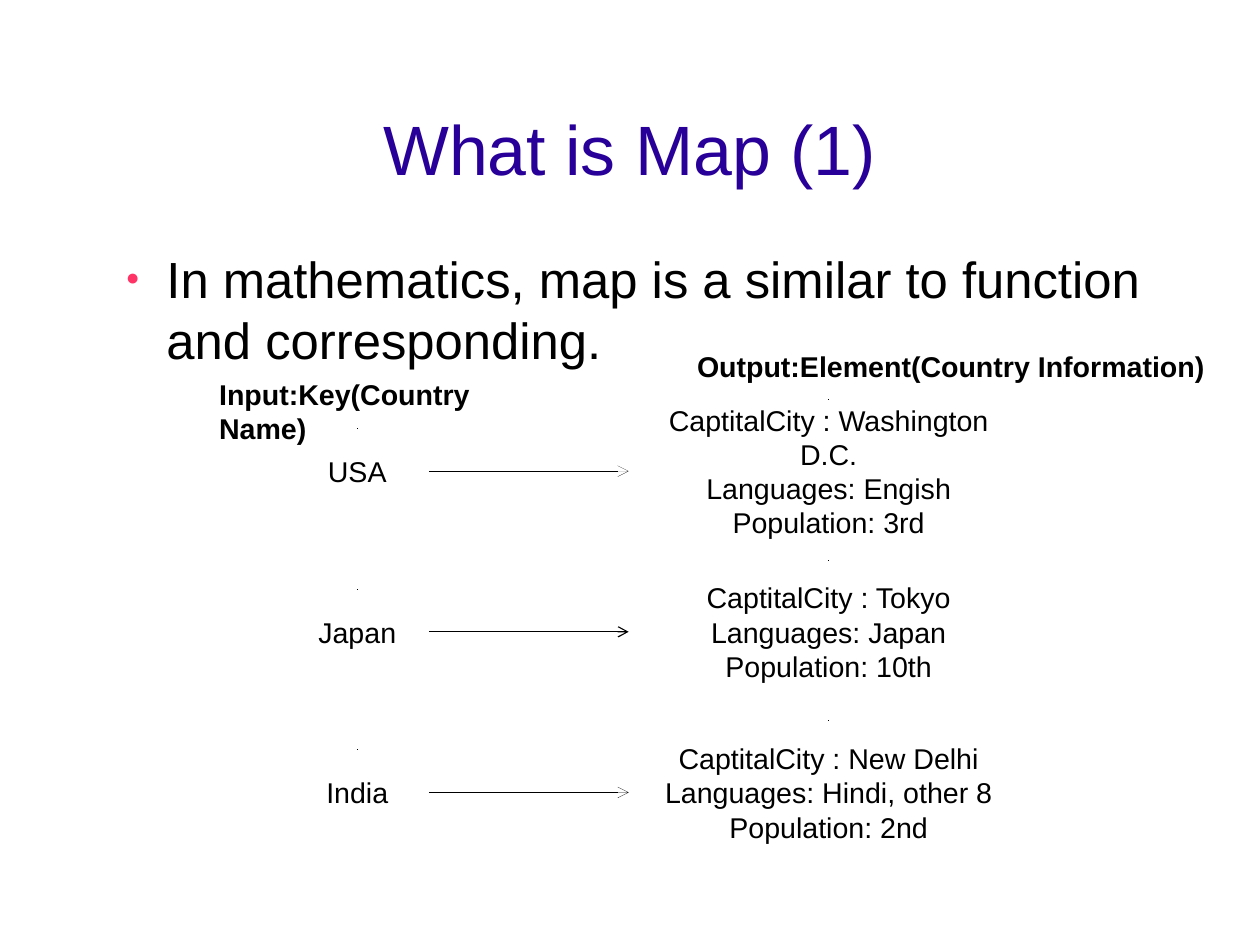
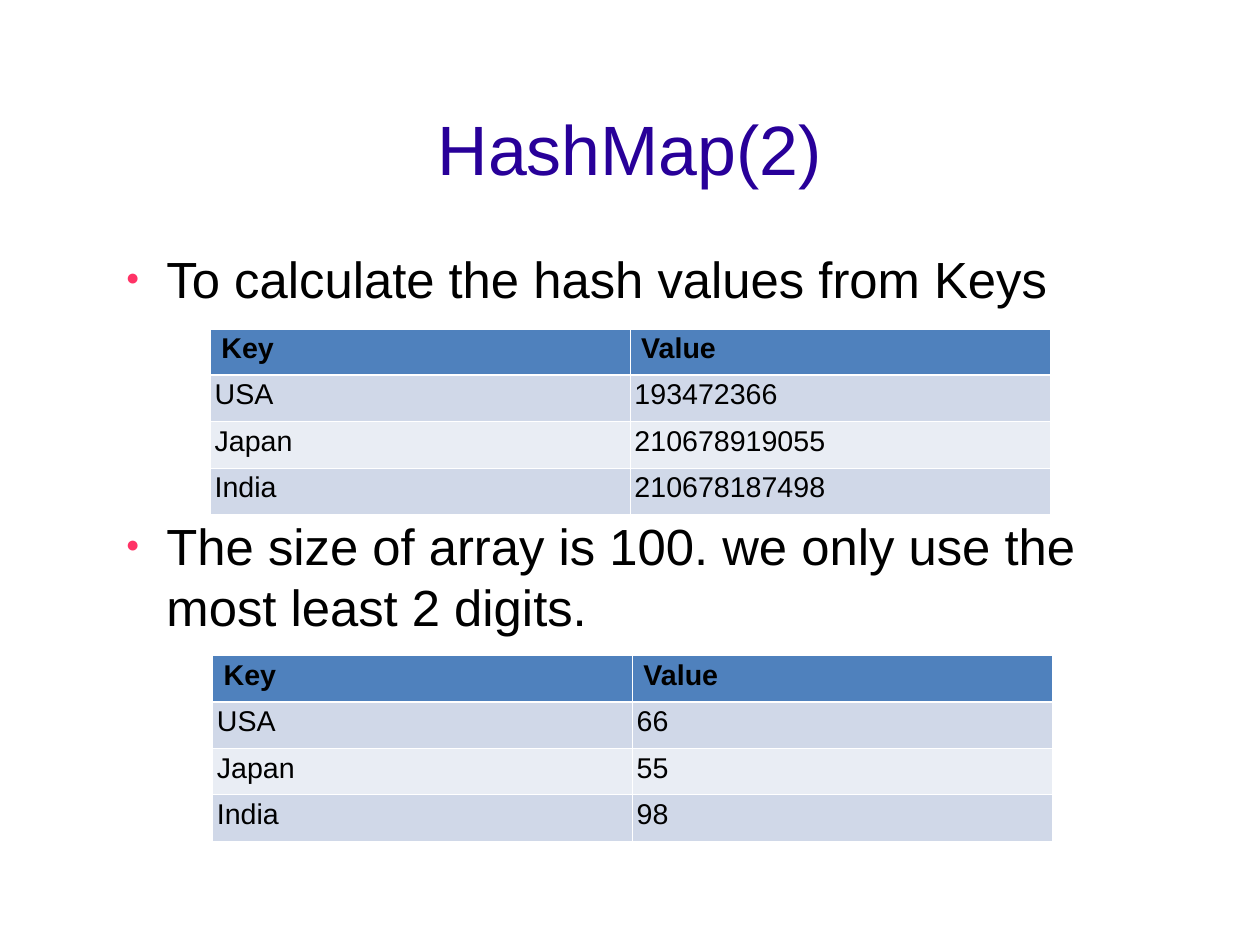
from dataclasses import dataclass

from lxml import etree
from pptx import Presentation
from pptx.dml.color import RGBColor
from pptx.enum.shapes import MSO_CONNECTOR
from pptx.enum.text import MSO_ANCHOR, PP_ALIGN
from pptx.oxml.ns import qn
from pptx.util import Cm, Pt

LEFT, CENTER = PP_ALIGN.LEFT, PP_ALIGN.CENTER
TOP, MIDDLE = MSO_ANCHOR.TOP, MSO_ANCHOR.MIDDLE
STRAIGHT = MSO_CONNECTOR.STRAIGHT


@dataclass(frozen=True)
class Theme:
    font: str = "Arial"
    title: str = "280099"
    ink: str = "000000"
    bullet: str = "FF3366"
    node: str = "99CCFF"
    header: str = "4F81BD"
    bands: tuple = ("D0D8E8", "E9EDF4")
    rule: str = "FFFFFF"
    title_size: float = 44
    body_size: float = 32
    small_size: float = 18
    hairline: float = 0.01
    thin_rule: float = 0.45
    thick_rule: float = 1.47


THEME = Theme()
PADDING = (0.25, 0.13)
NO_PADDING = (0, 0)


# Text helpers
def add_run(paragraph, text, size, color=THEME.ink, bold=False):
    run = paragraph.add_run()
    run.text = text
    run.font.name = THEME.font
    run.font.size = Pt(size)
    run.font.bold = bold
    run.font.color.rgb = RGBColor.from_string(color)


def set_frame(frame, padding, anchor):
    frame.word_wrap = True
    frame.vertical_anchor = anchor
    frame.margin_left = frame.margin_right = Cm(padding[0])
    frame.margin_top = frame.margin_bottom = Cm(padding[1])


def set_line(line, width):
    line.color.rgb = RGBColor.from_string(THEME.ink)
    line.width = Pt(width)


def add_text(slide, box, text, size, color=THEME.ink, bold=False,
             align=LEFT, padding=PADDING, anchor=TOP):
    frame = slide.shapes.add_textbox(*map(Cm, box)).text_frame
    set_frame(frame, padding, anchor)
    paragraph = frame.paragraphs[0]
    paragraph.alignment = align
    add_run(paragraph, text, size, color, bold)
    return paragraph


def add_title(slide, text):
    add_text(slide, (2, 1.65, 24, 3.25), text, THEME.title_size, THEME.title,
             align=CENTER, padding=NO_PADDING, anchor=MIDDLE)


def add_bullet(slide, box, text):
    paragraph = add_text(slide, box, text, THEME.body_size, padding=NO_PADDING)
    properties = paragraph._p.get_or_add_pPr()
    properties.set("marL", str(Cm(1.2)))
    properties.set("indent", str(-Cm(0.9)))
    color = etree.SubElement(properties, qn("a:buClr"))
    etree.SubElement(color, qn("a:srgbClr"), val=THEME.bullet)
    etree.SubElement(properties, qn("a:buSzPct"), val="45000")
    etree.SubElement(properties, qn("a:buFont"), typeface=THEME.font)
    etree.SubElement(properties, qn("a:buChar"), char="●")


# Map diagram
def add_node(slide, box, lines):
    """Text block whose outline is a single dot at its top centre."""
    left, top, width, height = map(Cm, box)
    dot = (left + width // 2, top)
    builder = slide.shapes.build_freeform(*dot)
    node = builder.add_line_segments([dot], close=True).convert_to_shape()
    node.left, node.top, node.width, node.height = left, top, width, height
    outline = next(node._element.iter(qn("a:path")))
    outline.set("w", str(width))
    outline.set("h", str(height))
    for point in outline.iter(qn("a:pt")):
        point.set("x", str(width // 2))
    node.shadow.inherit = False
    node.fill.solid()
    node.fill.fore_color.rgb = RGBColor.from_string(THEME.node)
    set_line(node.line, THEME.hairline)
    frame = node.text_frame
    set_frame(frame, PADDING, MIDDLE)
    for index, line in enumerate(lines):
        paragraph = frame.add_paragraph() if index else frame.paragraphs[0]
        paragraph.alignment = CENTER
        add_run(paragraph, line, THEME.small_size)


def add_arrow(slide, start, end, middle, width):
    arrow = slide.shapes.add_connector(
        STRAIGHT, Cm(start), Cm(middle), Cm(end), Cm(middle))
    set_line(arrow.line, width)
    etree.SubElement(arrow.line._get_or_add_ln(), qn("a:tailEnd"), type="arrow")
    etree.SubElement(arrow._element.spPr, qn("a:effectLst"))


def add_map_diagram(slide, left, top, entries):
    key_width, value_offset, value_width = 3.18, 7.62, 8.89
    key_height, value_height, pitch = 1.9, 3.18, 3.57
    value_left = left + value_offset
    for row, (country, facts, line_width) in enumerate(entries):
        middle = top + value_height / 2 + row * pitch
        add_node(slide, (left, middle - key_height / 2,
                         key_width, key_height), [country])
        add_node(slide, (value_left, middle - value_height / 2,
                         value_width, value_height), facts)
        add_arrow(slide, left + key_width, value_left, middle, line_width)


# Hash table
def add_border(cell, side, width):
    line = etree.SubElement(cell._tc.get_or_add_tcPr(), qn(f"a:ln{side}"),
                            w=str(Pt(width)))
    fill = etree.SubElement(line, qn("a:solidFill"))
    etree.SubElement(fill, qn("a:srgbClr"), val=THEME.rule)


def fill_cell(cell, text, row):
    is_header = row == 0
    thick_side = {0: "B", 1: "T"}.get(row)
    for side in "LRTB":
        add_border(cell, side,
                   THEME.thick_rule if side == thick_side else THEME.thin_rule)
    cell.fill.solid()
    cell.fill.fore_color.rgb = RGBColor.from_string(
        THEME.header if is_header else THEME.bands[(row - 1) % 2])
    cell.margin_left = cell.margin_right = Cm(0.25 if is_header else 0.1)
    cell.margin_top = cell.margin_bottom = Cm(0.13)
    paragraph = cell.text_frame.paragraphs[0]
    paragraph.line_spacing = 0.93
    add_run(paragraph, text, THEME.small_size, bold=is_header)


def add_hash_table(slide, left, top, values):
    rows = [("Key", "Value"), *zip(("USA", "Japan", "India"), values)]
    row_height, column_width = 1.03, 9.33
    table = slide.shapes.add_table(
        len(rows), 2, Cm(left), Cm(top),
        Cm(2 * column_width), Cm(len(rows) * row_height)).table
    for row, texts in enumerate(rows):
        table.rows[row].height = Cm(row_height)
        for column, text in enumerate(texts):
            fill_cell(table.cell(row, column), text, row)


# Slides
def build_map_slide(slide):
    add_title(slide, "What is Map (1)")
    add_bullet(slide, (2.5, 5.5, 23, 11.33),
               "In mathematics, map is a similar to function and corresponding.")
    for box, label in (
            ((4.62, 8.25, 8.18, 1.78), "Input:Key(Country Name)"),
            ((15.24, 7.62, 11.8, 1.02), "Output:Element(Country Information)")):
        add_text(slide, box, label, THEME.small_size, bold=True)
    add_map_diagram(slide, 6.35, 8.88, (
        ("USA", ("CaptitalCity : Washington D.C.", "Languages: Engish",
                 "Population: 3rd"), THEME.hairline),
        ("Japan", ("CaptitalCity : Tokyo", "Languages: Japan",
                   "Population: 10th"), 0.75),
        ("India", ("CaptitalCity : New Delhi", "Languages: Hindi, other 8",
                   "Population: 2nd"), THEME.hairline)))


def build_hash_slide(slide):
    add_title(slide, "HashMap(2)")
    add_bullet(slide, (2.5, 5.5, 23, 1.6),
               "To calculate the hash values from Keys")
    add_hash_table(slide, 4.67, 7.31,
                   ("193472366", "210678919055", "210678187498"))
    add_bullet(slide, (2.5, 11.43, 23, 3),
               "The size of array is 100. we only use the most least 2 digits.")
    add_hash_table(slide, 4.72, 14.57, ("66", "55", "98"))


def main():
    deck = Presentation()
    deck.slide_width, deck.slide_height = Cm(28), Cm(21)
    blank = deck.slide_layouts[6]
    for build in (build_map_slide, build_hash_slide):
        build(deck.slides.add_slide(blank))
    deck.save("out.pptx")


if __name__ == "__main__":
    main()
